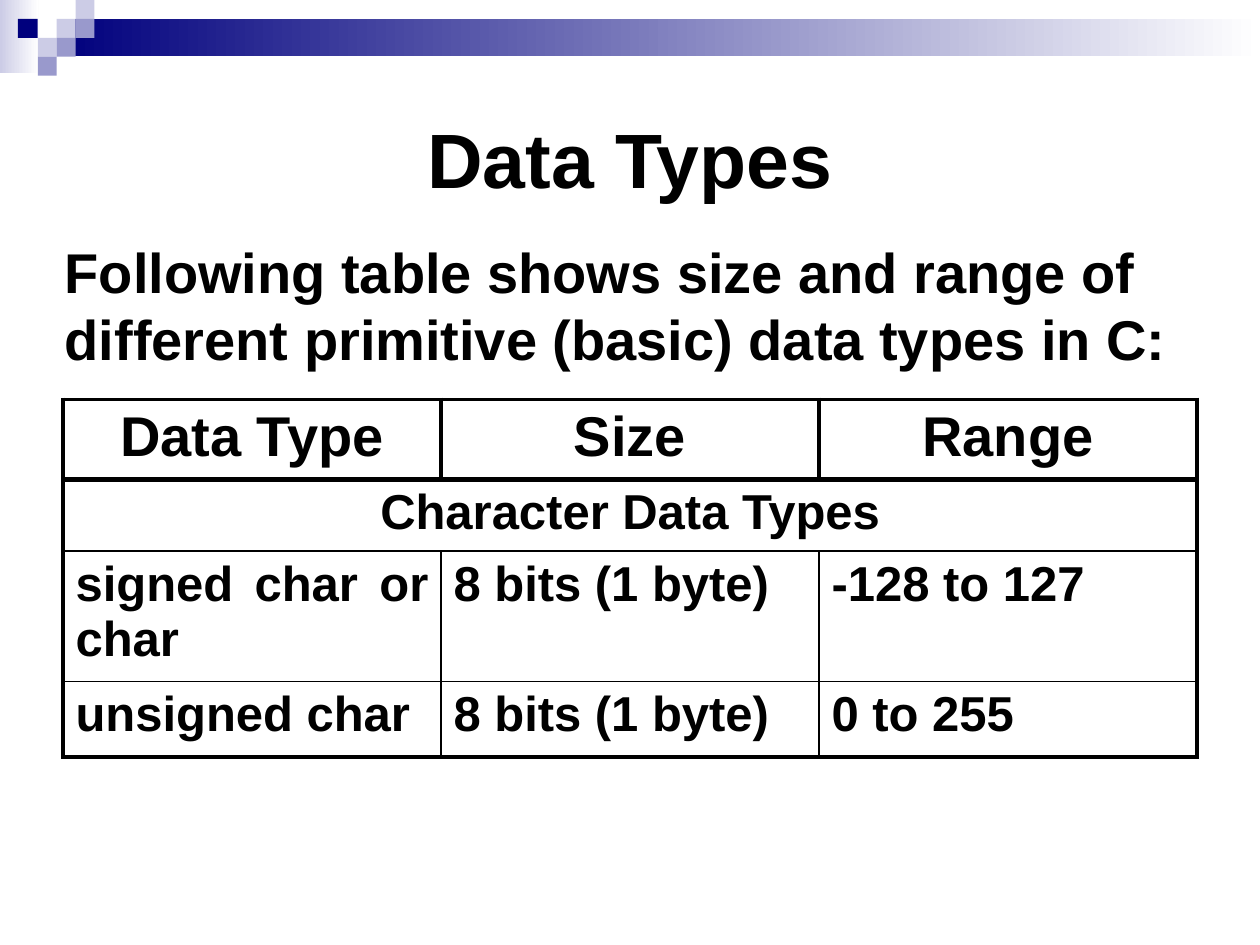
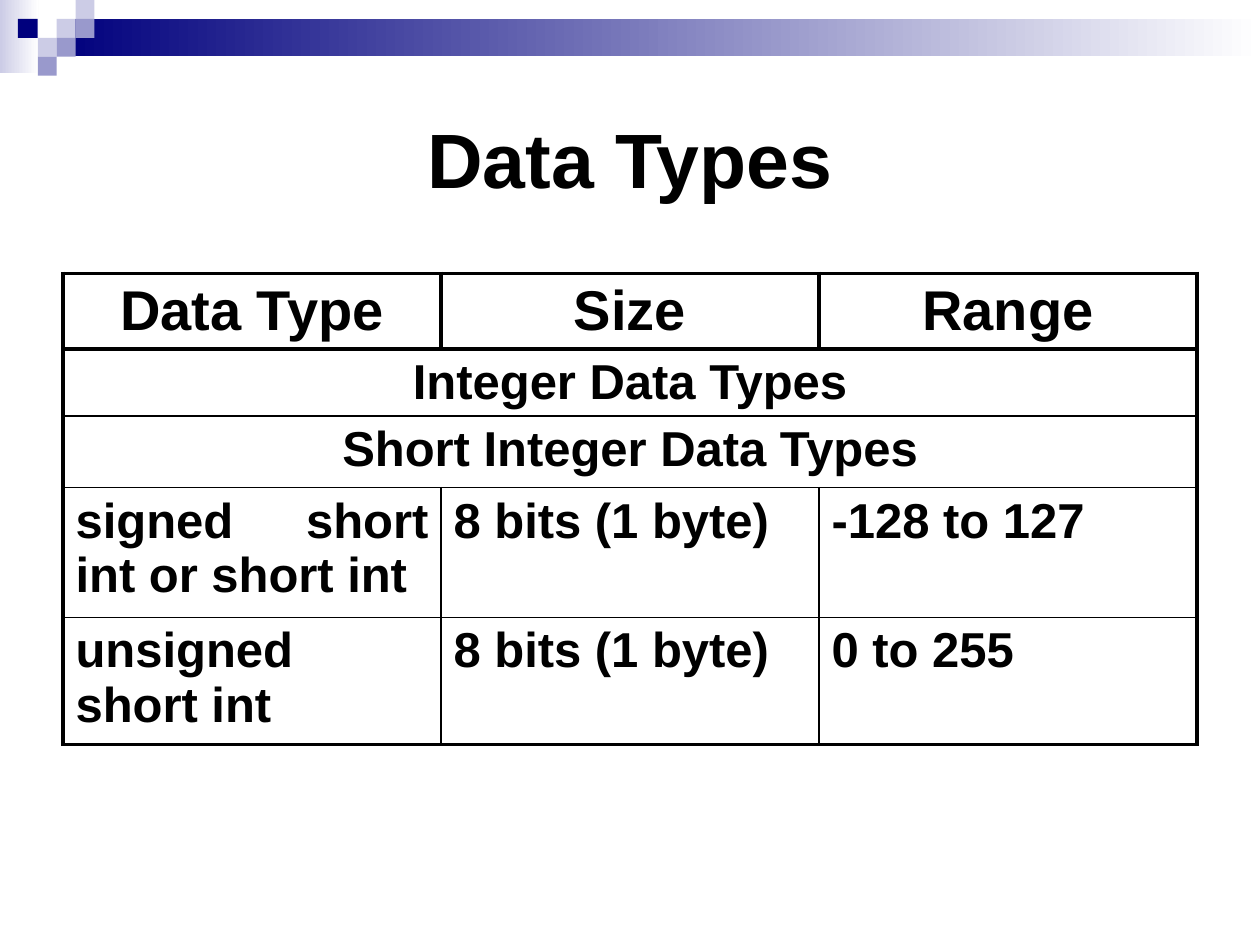
import dataclasses
import typing

import pptx
import pptx.dml.color
import pptx.enum.shapes
import pptx.enum.text
import pptx.oxml
import pptx.oxml.ns
import pptx.util

COLORS = {
    "text": "000000",
    "border": "000000",
    "paper": "FFFFFF",
    "navy": "00007D",
    "lilac": "9999CC",
    "mist": "CCCCE6",
}
ALIGN = pptx.enum.text.PP_ALIGN
ANCHOR = pptx.enum.text.MSO_ANCHOR

presentation = pptx.Presentation()
presentation.slide_width = pptx.util.Inches(10)
presentation.slide_height = pptx.util.Inches(7.5)
GRID = presentation.slide_width / 20  # page grid: 20 columns, 15 rows
TILE = 0.3 * GRID  # side of one square in the corner pattern

# Text formats
TITLE = {"size": pptx.util.Pt(44), "bold": True, "name": "Arial"}
LARGE = {**TITLE, "size": pptx.util.Pt(32)}
MEDIUM = {**TITLE, "size": pptx.util.Pt(28)}

# Border widths in points
HEADER_LINE, OUTER_LINE, INNER_LINE = 3, 2.25, 1


@dataclasses.dataclass
class Box:
    """A rectangle in columns and rows of a grid."""
    column: float
    row: float
    columns: float = 1
    rows: float = 1

    def lengths(self, unit: float) -> list[int]:
        return [round(value * unit) for value in dataclasses.astuple(self)]


@dataclasses.dataclass
class Tile:
    box: Box
    colors: tuple[str, ...]  # two names make a gradient


@dataclasses.dataclass
class TypeSlide:
    table_row: float
    row_heights: list[float]  # in grid rows
    sections: list[str]
    entries: list[tuple[str, str, str]]
    intro: str = ""
    bottom_margin: float = 0.1  # inside each cell, in grid rows


TILES = [
    Tile(Box(0, 0, 2.05, 3.85), ("mist", "paper")),
    Tile(Box(3, 1, 63.67, 1.95), ("navy", "paper")),
    Tile(Box(3, 1), ("mist",)),
    Tile(Box(4, 0), ("mist",)),
    Tile(Box(4, 1), ("lilac",)),
    Tile(Box(2, 2), ("mist",)),
    Tile(Box(0.95, 1, 1.05), ("navy",)),
    Tile(Box(3, 2), ("lilac",)),
    Tile(Box(2, 3), ("lilac",)),
]
TITLE_BOX = Box(1, 1, 18, 3)
INTRO_BOX = Box(0.83, 3.67, 18.5, 2.34)
HEADINGS = ("Data Type", "Size", "Range")

SLIDES = [
    TypeSlide(
        table_row=6.34,
        row_heights=[1.25, 1.14, 2.06, 1.2],
        sections=["Character Data Types"],
        entries=[
            ("signed char or char", "8 bits (1 byte)", "-128 to 127"),
            ("unsigned char", "8 bits (1 byte)", "0 to 255"),
        ],
        intro="Following table shows size and range of different "
              "primitive (basic) data types in C:",
    ),
    TypeSlide(
        table_row=4.34,
        row_heights=[1.2, 1.06, 1.14, 2.06, 2.02],
        sections=["Integer Data Types", "Short Integer Data Types"],
        entries=[
            ("signed short int or short int", "8 bits (1 byte)", "-128 to 127"),
            ("unsigned short int", "8 bits (1 byte)", "0 to 255"),
        ],
        bottom_margin=0.01,
    ),
]


def color(name: str) -> pptx.dml.color.RGBColor:
    return pptx.dml.color.RGBColor.from_string(COLORS[name])


def write(frame: typing.Any, text: str, font: dict, alignment: typing.Any) -> None:
    paragraph = frame.paragraphs[0]
    paragraph.alignment = alignment
    run = paragraph.add_run()
    run.text = text
    for attribute, value in font.items():
        setattr(run.font, attribute, value)
    run.font.color.rgb = color("text")


def add_text(slide: typing.Any, box: Box, text: str, font: dict,
             alignment: typing.Any, anchor: typing.Any) -> None:
    frame = slide.shapes.add_textbox(*box.lengths(GRID)).text_frame
    frame.word_wrap = True
    frame.vertical_anchor = anchor
    write(frame, text, font, alignment)


def add_tile(slide: typing.Any, tile: Tile) -> None:
    shape = slide.shapes.add_shape(
        pptx.enum.shapes.MSO_SHAPE.RECTANGLE, *tile.box.lengths(TILE))
    shape.shadow.inherit = False
    shape.line.fill.background()
    if len(tile.colors) == 1:
        shape.fill.solid()
        shape.fill.fore_color.rgb = color(tile.colors[0])
        return
    shape.fill.gradient()
    shape.fill.gradient_angle = 0
    for stop, name in zip(shape.fill.gradient_stops, tile.colors):
        stop.color.rgb = color(name)


def set_borders(cell: typing.Any, widths: dict[str, float]) -> None:
    properties = cell._tc.get_or_add_tcPr()
    for side, width in widths.items():
        paint = (f'<a:solidFill><a:srgbClr val="{COLORS["border"]}"/></a:solidFill>'
                 if width else "<a:noFill/>")
        properties.append(pptx.oxml.parse_xml(
            f'<a:ln{side} {pptx.oxml.ns.nsdecls("a")} '
            f'w="{pptx.util.Pt(width)}">{paint}</a:ln{side}>'))


def add_type_table(slide: typing.Any, content: TypeSlide) -> None:
    sections = [(section, "", "") for section in content.sections]
    rows = [HEADINGS, *sections, *content.entries]
    last_row, column_count = len(rows) - 1, len(HEADINGS)
    box = Box(1, content.table_row, 18, sum(content.row_heights))
    table = slide.shapes.add_table(
        len(rows), column_count, *box.lengths(GRID)).table
    table.first_row = table.horz_banding = False

    for row, texts in enumerate(rows):
        table.rows[row].height = round(content.row_heights[row] * GRID)
        is_header = row == 0
        is_section = 1 <= row <= len(sections)
        for column, text in enumerate(texts):
            cell = table.cell(row, column)
            cell.margin_bottom = round(content.bottom_margin * GRID)
            span = column_count if is_section and column == 0 else 1
            inner = 0 if is_section else INNER_LINE
            if is_header:
                widths = {**dict.fromkeys("LRT", OUTER_LINE), "B": HEADER_LINE}
            else:
                widths = {
                    "L": OUTER_LINE if column == 0 else inner,
                    "R": OUTER_LINE if column + span == column_count else inner,
                    "T": HEADER_LINE if row == 1 else INNER_LINE,
                    "B": OUTER_LINE if row == last_row else INNER_LINE,
                }
            set_borders(cell, widths)
            cell.fill.background()
            if text:
                write(cell.text_frame, text, LARGE if is_header else MEDIUM,
                      ALIGN.CENTER if is_header or is_section else ALIGN.JUSTIFY)
        if is_section:
            table.cell(row, 0).merge(table.cell(row, column_count - 1))


# Build the slides
for content in SLIDES:
    slide = presentation.slides.add_slide(presentation.slide_layouts[6])
    slide.background.fill.solid()
    slide.background.fill.fore_color.rgb = color("paper")
    for tile in TILES:
        add_tile(slide, tile)
    add_text(slide, TITLE_BOX, "Data Types", TITLE, ALIGN.CENTER, ANCHOR.MIDDLE)
    add_type_table(slide, content)
    if content.intro:
        add_text(slide, INTRO_BOX, content.intro, LARGE, ALIGN.LEFT, ANCHOR.TOP)

presentation.save("out.pptx")
